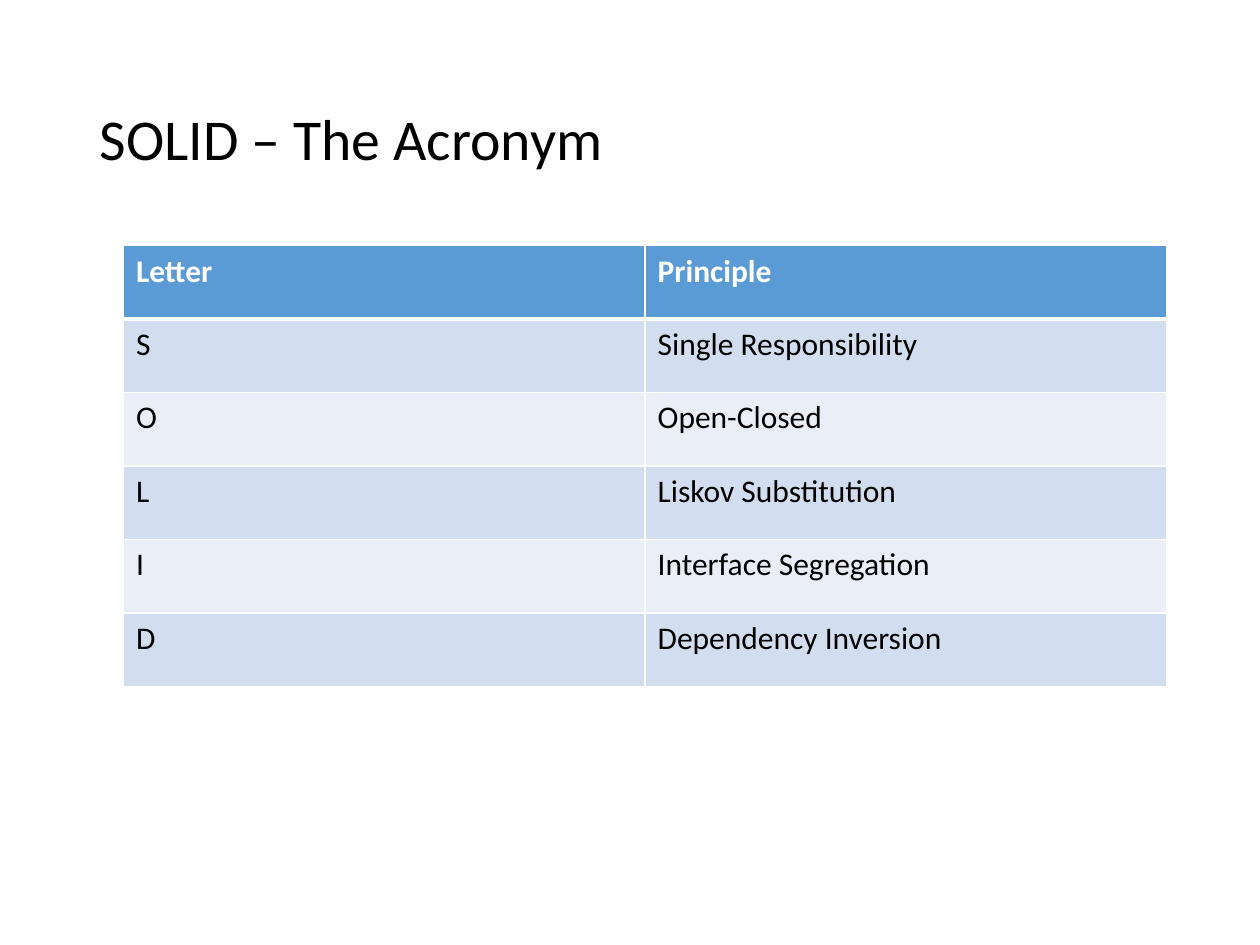
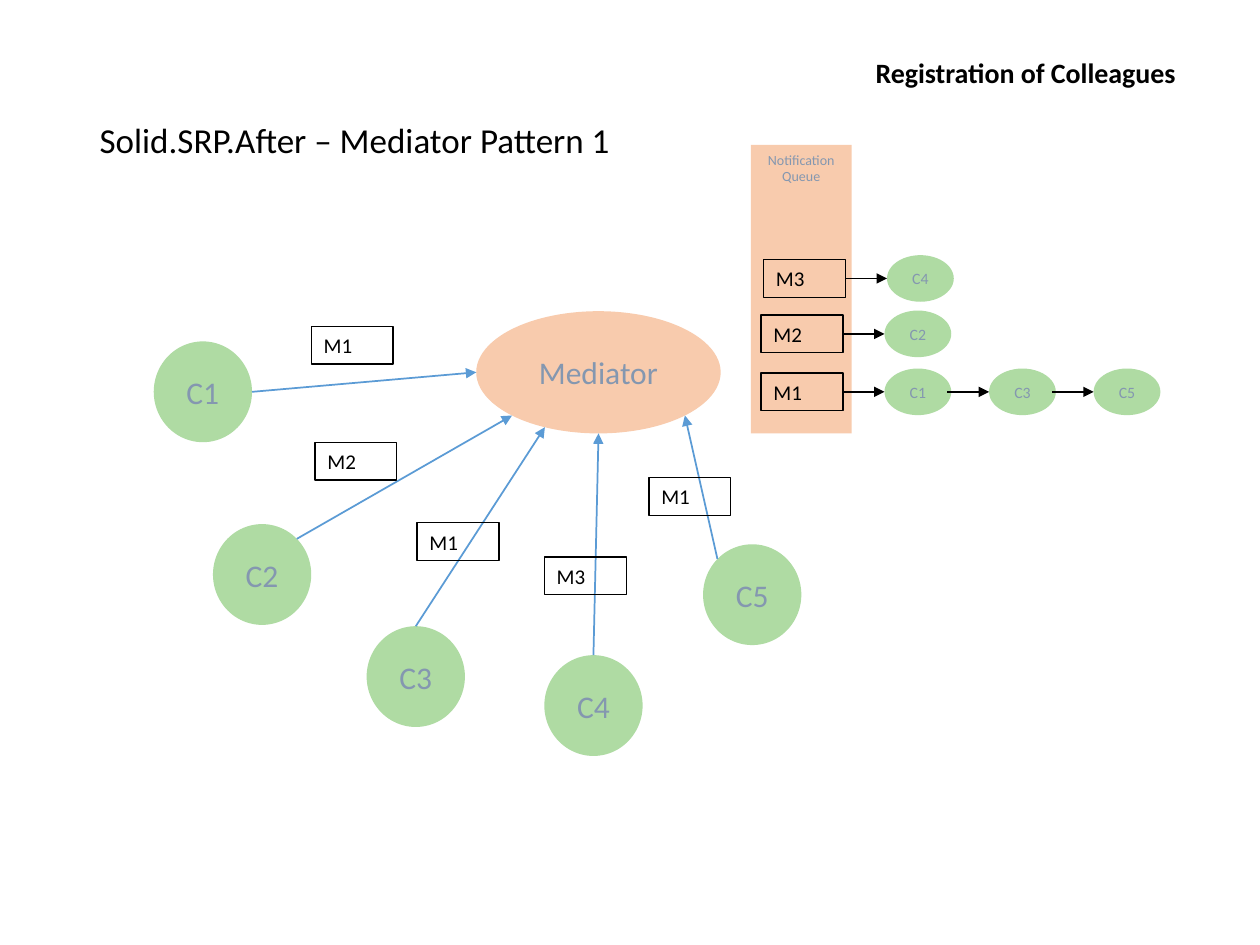
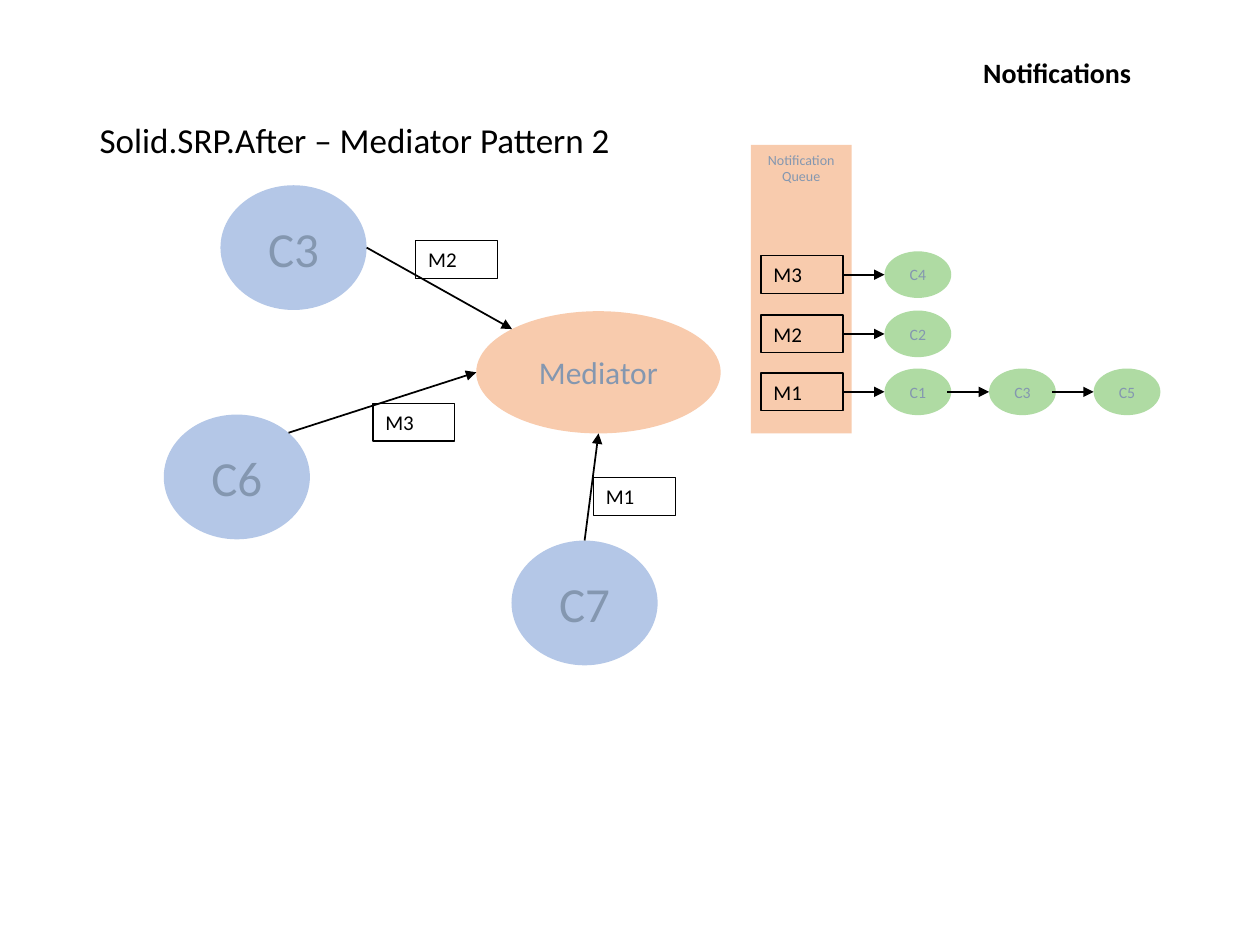
from math import cos, radians, sin

from lxml.etree import SubElement
from pptx import Presentation
from pptx.dml.color import RGBColor
from pptx.enum.shapes import MSO_CONNECTOR, MSO_SHAPE
from pptx.enum.text import MSO_ANCHOR, MSO_AUTO_SIZE, PP_ALIGN
from pptx.oxml.ns import qn
from pptx.util import Inches, Pt

# Colours
BLACK, WHITE, BLUE, SLATE = "000000", "FFFFFF", "5B9BD5", "8497B0"
PEACH, GREEN, PERIWINKLE = "F8CBAD", "AFDBA3", "B4C7E7"
BANDS = ("D2DEEF", "EAEFF7")

# Points on an oval, in degrees clockwise from its right end
RIGHT, BOTTOM_RIGHT, BOTTOM, BOTTOM_LEFT = 0, 45, 90, 135
LEFT, TOP_LEFT, TOP, TOP_RIGHT = 180, 225, 270, 315

MESSAGE_SIZE = (0.65, 0.3)
SUBSCRIBER_SIZE = (0.53, 0.37)
SUBSCRIBER_OFFSET, SUBSCRIBER_STEP, QUEUE_ARROW = 0.98, 0.83, 0.33


def color(hex_string):
    return RGBColor.from_string(hex_string)


def inches(*lengths):
    return [Inches(length) for length in lengths]


def oval_point(oval, angle):
    x = oval.left + oval.width / 2 * (1 + cos(radians(angle)))
    y = oval.top + oval.height / 2 * (1 + sin(radians(angle)))
    return int(x), int(y)


class Deck:
    font = "Calibri"

    def __init__(self):
        self.presentation = Presentation()
        self.presentation.slide_width = Inches(10)
        self.presentation.slide_height = Inches(7.5)
        self.slide = None

    def set_text(self, frame, text, size, ink, bold=False, align=PP_ALIGN.LEFT,
                 anchor=MSO_ANCHOR.TOP):
        frame.text = text
        frame.word_wrap = True
        frame.vertical_anchor = anchor
        paragraph = frame.paragraphs[0]
        paragraph.alignment = align
        font = paragraph.runs[0].font
        font.name, font.size, font.bold = self.font, Pt(size), bold
        font.color.rgb = color(ink)

    def add_slide(self, heading, size):
        self.slide = self.presentation.slides.add_slide(
            self.presentation.slide_layouts[5])
        title = self.slide.shapes.title
        title.left, title.top, title.width, title.height = inches(0.69, 0.4, 8.62, 1.45)
        self.set_text(title.text_frame, heading, size, BLACK, anchor=MSO_ANCHOR.MIDDLE)
        title.text_frame.auto_size = MSO_AUTO_SIZE.NONE
        title.text_frame.paragraphs[0].line_spacing = 0.9

    def shape(self, preset, box, text, size, fill, anchor=MSO_ANCHOR.MIDDLE):
        shape = self.slide.shapes.add_shape(preset, *inches(*box))
        shape.shadow.inherit = False
        shape.fill.solid()
        shape.fill.fore_color.rgb = color(fill)
        shape.line.fill.background()
        self.set_text(shape.text_frame, text, size, SLATE, align=PP_ALIGN.CENTER,
                      anchor=anchor)
        return shape

    def oval(self, box, text, size, fill):
        return self.shape(MSO_SHAPE.OVAL, box, text, size, fill)

    def label(self, box, text, size, bold=False, align=PP_ALIGN.LEFT):
        label = self.slide.shapes.add_textbox(*inches(*box))
        self.set_text(label.text_frame, text, size, BLACK, bold, align)
        label.text_frame.auto_size = MSO_AUTO_SIZE.SHAPE_TO_FIT_TEXT
        return label

    def message(self, left, top, text):
        message = self.label((left, top, *MESSAGE_SIZE), text, 12)
        message.line.color.rgb = color(BLACK)
        message.line.width = Pt(0.75)
        return message

    def arrow(self, start, end, ink=BLACK):
        arrow = self.slide.shapes.add_connector(MSO_CONNECTOR.STRAIGHT, *start, *end)
        arrow.line.color.rgb = color(ink)
        arrow.line.width = Pt(1)
        properties = arrow._element.spPr
        SubElement(properties.get_or_add_ln(), qn("a:tailEnd"), type="triangle")
        SubElement(properties, qn("a:effectLst"))
        return arrow

    def cell_borders(self, cell, top, bottom):
        properties = cell._tc.get_or_add_tcPr()
        for side, width in (("L", 1), ("R", 1), ("T", top), ("B", bottom)):
            border = SubElement(properties, qn(f"a:ln{side}"), w=str(int(Pt(width))))
            fill = SubElement(border, qn("a:solidFill"))
            SubElement(fill, qn("a:srgbClr"), val=WHITE)

    def table(self, box, rows):
        table = self.slide.shapes.add_table(len(rows), len(rows[0]), *inches(*box)).table
        for r, row in enumerate(rows):
            header = r == 0
            for c, text in enumerate(row):
                cell = table.cell(r, c)
                self.cell_borders(cell, 3 if r == 1 else 1, 3 if header else 1)
                cell.fill.solid()
                cell.fill.fore_color.rgb = color(BLUE if header else BANDS[(r - 1) % 2])
                self.set_text(cell.text_frame, text, 18, WHITE if header else BLACK, header)

    def queue_row(self, left, top, message, subscribers):
        """A queued message followed by the chain of its subscribers."""
        queued = self.message(left, top, message)
        middle = top + MESSAGE_SIZE[1] / 2
        for i, subscriber in enumerate(subscribers):
            x = left + SUBSCRIBER_OFFSET + i * SUBSCRIBER_STEP
            self.oval((x, middle - SUBSCRIBER_SIZE[1] / 2, *SUBSCRIBER_SIZE),
                      subscriber, 9, GREEN)
            link = self.arrow(inches(x - QUEUE_ARROW, middle), inches(x, middle))
            if i == 0:
                link.begin_connect(queued, 3)

    def mediator_slide(self, heading, topic, topic_align, newest_row,
                       colleagues, colleague_style, arrow_ink):
        self.add_slide(heading, 20)
        self.label((6.85, 0.39, 3.08, 0.37), topic, 16, True, topic_align)
        mediator = self.oval((3.78, 2.47, 1.94, 0.97), "Mediator", 18, PEACH)

        # Notification queue, newest message on top
        self.shape(MSO_SHAPE.RECTANGLE, (5.96, 1.15, 0.8, 2.29), "Notification Queue",
                   8, PEACH, MSO_ANCHOR.TOP)
        self.queue_row(6.04, 2.96, "M1", ("C1", "C3", "C5"))
        self.queue_row(6.04, 2.5, "M2", ("C2",))
        self.queue_row(*newest_row, "M3", ("C4",))

        # Colleagues and the messages they send to the mediator
        width, height, size, fill = colleague_style
        for name, place, leaves, arrives, message, message_place in colleagues:
            colleague = self.oval((*place, width, height), name, size, fill)
            self.arrow(oval_point(colleague, leaves), oval_point(mediator, arrives),
                       arrow_ink)
            self.message(*message_place, message)


def main():
    deck = Deck()

    # Slide 1: the acronym
    deck.add_slide("SOLID – The Acronym", 33)
    deck.table((0.98, 1.95, 8.28, 3.5), (
        ("Letter", "Principle"),
        ("S", "Single Responsibility"),
        ("O", "Open-Closed"),
        ("L", "Liskov Substitution"),
        ("I", "Interface Segregation"),
        ("D", "Dependency Inversion"),
    ))

    # Slide 2: colleagues register
    deck.mediator_slide(
        "Solid.SRP.After – Mediator Pattern 1", "Registration of Colleagues",
        PP_ALIGN.LEFT, (6.06, 2.06), (
            ("C1", (1.22, 2.71), RIGHT, LEFT, "M1", (2.47, 2.59)),
            ("C2", (1.69, 4.16), TOP_RIGHT, BOTTOM_LEFT, "M2", (2.5, 3.51)),
            ("C3", (2.91, 4.97), TOP, 116, "M1", (3.31, 4.15)),
            ("C4", (4.32, 5.2), TOP, BOTTOM, "M3", (4.32, 4.42)),
            ("C5", (5.58, 4.32), TOP_LEFT, BOTTOM_RIGHT, "M1", (5.15, 3.79)),
        ), (0.78, 0.8, 18, GREEN), BLUE)

    # Slide 3: colleagues notify
    deck.mediator_slide(
        "Solid.SRP.After – Mediator Pattern 2", "Notifications",
        PP_ALIGN.CENTER, (6.04, 2.03), (
            ("C7", (4.06, 4.29), TOP, BOTTOM, "M1", (4.71, 3.79)),
            ("C6", (1.3, 3.29), TOP_RIGHT, LEFT, "M3", (2.96, 3.2)),
            ("C3", (1.75, 1.47), RIGHT, TOP_LEFT, "M2", (3.3, 1.91)),
        ), (1.16, 0.99, 28, PERIWINKLE), BLACK)

    deck.presentation.save("out.pptx")


if __name__ == "__main__":
    main()
